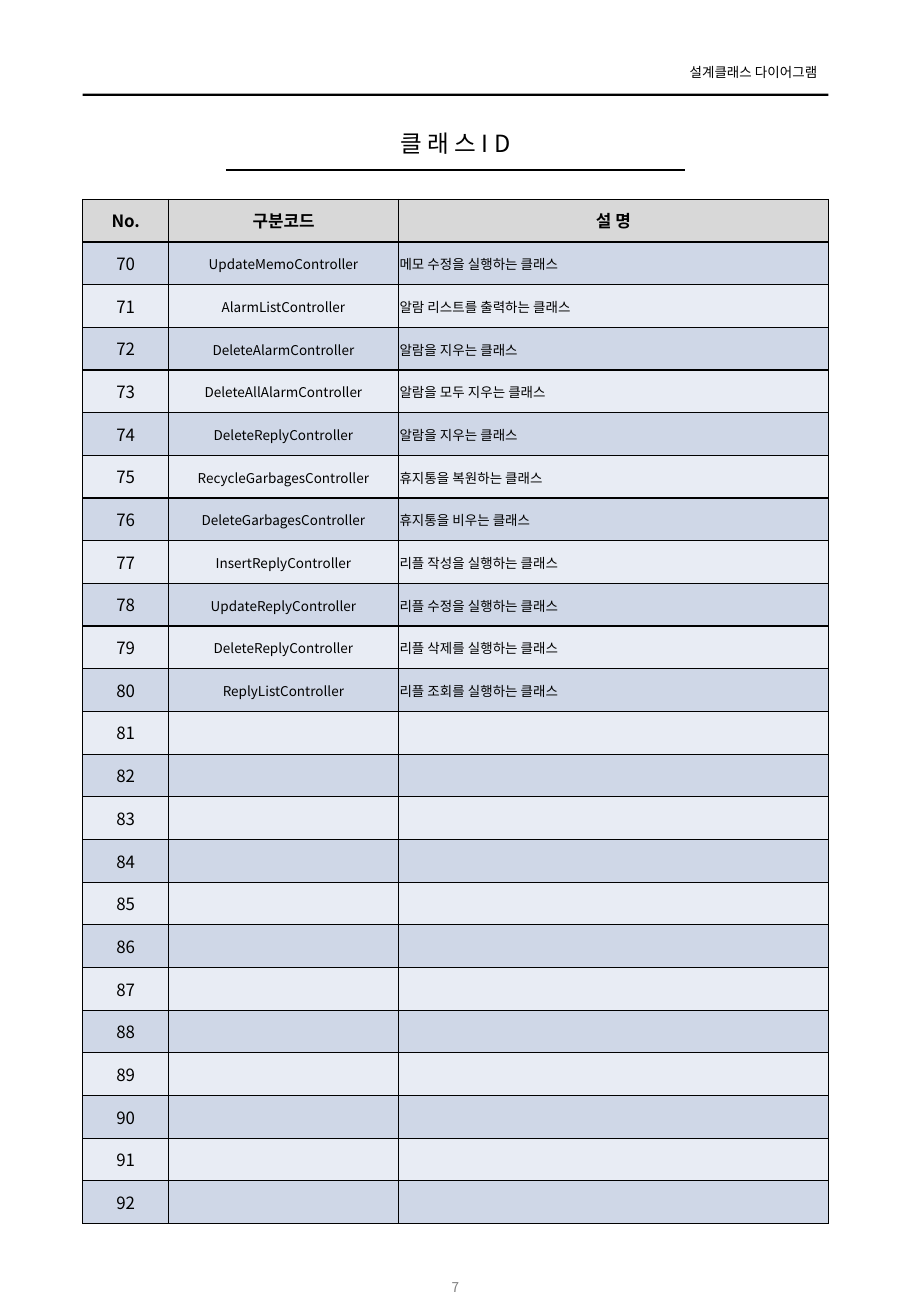
from lxml import etree
from pptx import Presentation
from pptx.dml.color import RGBColor
from pptx.enum.shapes import MSO_CONNECTOR, MSO_SHAPE
from pptx.enum.text import MSO_ANCHOR, MSO_AUTO_SIZE, PP_ALIGN
from pptx.oxml.ns import qn
from pptx.util import Pt

PX = 9144  # 100 px to the inch
FONT = "Noto Sans CJK KR"
COLORS = {"ink": "000000", "page": "7F7F7F", "head": "D8D8D8",
          "odd": "CFD7E7", "even": "E8ECF4"}
LEFT, CENTER, RIGHT = PP_ALIGN.LEFT, PP_ALIGN.CENTER, PP_ALIGN.RIGHT
TOP, MIDDLE = MSO_ANCHOR.TOP, MSO_ANCHOR.MIDDLE
NO_FIT = MSO_AUTO_SIZE.NONE
RECT, STRAIGHT = MSO_SHAPE.RECTANGLE, MSO_CONNECTOR.STRAIGHT

COLS = [71, 189, 354]
HEADS = ["No.", "구분코드", "설 명"]
FIRST, LAST = 70, 92
CLASSES = [
    ("UpdateMemoController", "메모 수정을 실행하는 클래스"),
    ("AlarmListController", "알람 리스트를 출력하는 클래스"),
    ("DeleteAlarmController", "알람을 지우는 클래스"),
    ("DeleteAllAlarmController", "알람을 모두 지우는 클래스"),
    ("DeleteReplyController", "알람을 지우는 클래스"),
    ("RecycleGarbagesController", "휴지통을 복원하는 클래스"),
    ("DeleteGarbagesController", "휴지통을 비우는 클래스"),
    ("InsertReplyController", "리플 작성을 실행하는 클래스"),
    ("UpdateReplyController", "리플 수정을 실행하는 클래스"),
    ("DeleteReplyController", "리플 삭제를 실행하는 클래스"),
    ("ReplyListController", "리플 조회를 실행하는 클래스"),
]


def px(*sizes):
    return [size * PX for size in sizes]


def rgb(name):
    return RGBColor.from_string(COLORS[name])


def write(frame, text, size, align, color="ink", bold=False):
    frame.text = text
    para = frame.paragraphs[0]
    para.alignment = align
    font = para.font
    font.size, font.bold, font.name = Pt(size), bold, FONT
    font.color.rgb = rgb(color)
    etree.SubElement(font._rPr, qn("a:ea"), typeface=FONT)
    if not text:
        para._p.get_or_add_endParaRPr().set("sz", str(size * 100))


def inset(item, left, top, right, bottom):
    (item.margin_left, item.margin_top,
     item.margin_right, item.margin_bottom) = px(left, top, right, bottom)


def label(shape, text, size, align, pads, anchor=TOP, color="ink"):
    frame = shape.text_frame
    write(frame, text, size, align, color)
    inset(frame, *pads)
    frame.word_wrap, frame.auto_size = True, NO_FIT
    frame.vertical_anchor = anchor


def add_bar(slide, box):
    bar = slide.shapes.add_shape(RECT, *px(*box))
    bar.shadow.inherit = False
    bar.fill.solid()
    bar.fill.fore_color.rgb = rgb("ink")
    bar.line.fill.background()


def add_rule(slide, ends):
    rule = slide.shapes.add_connector(STRAIGHT, *px(*ends))
    rule.line.color.rgb = rgb("ink")
    rule.line.width = Pt(1)
    etree.SubElement(rule._element.spPr, qn("a:effectLst"))


def add_title(slide, text, box):
    title = slide.shapes.title
    title.left, title.top, title.width, title.height = px(*box)
    label(title, text, 14, CENTER, (0, 5, 0, 5))


def border(cell):
    props = cell._tc.get_or_add_tcPr()
    for place, side in enumerate(("lnL", "lnR", "lnT", "lnB")):
        line = etree.Element(qn("a:" + side), w=str(Pt(0.75)))
        fill = etree.SubElement(line, qn("a:solidFill"))
        etree.SubElement(fill, qn("a:srgbClr"), val=COLORS["ink"])
        props.insert(place, line)


def fill_cell(cell, text, size, align, pads, fill, bold=False):
    write(cell.text_frame, text, size, align, bold=bold)
    inset(cell, *pads)
    cell.vertical_anchor = MIDDLE
    cell.fill.solid()
    cell.fill.fore_color.rgb = rgb(fill)
    border(cell)


def add_list(slide, box):
    count = LAST - FIRST + 2
    table = slide.shapes.add_table(count, len(COLS), *px(*box)).table
    table.first_row = table.horz_banding = False
    for col, width in zip(table.columns, COLS):
        col.width = width * PX
    for row in table.rows:
        row.height = box[3] * PX // count

    wide, slim = (10, 5, 10, 5), (1, 1, 1, 0)
    for col, head in enumerate(HEADS):
        fill_cell(table.cell(0, col), head, 10, CENTER, wide, "head", True)
    for row in range(1, count):
        name, note = CLASSES[row - 1] if row <= len(CLASSES) else ("", "")
        fill = "odd" if row % 2 else "even"
        number = str(FIRST + row - 1)
        fill_cell(table.cell(row, 0), number, 10, CENTER, wide, fill)
        fill_cell(table.cell(row, 1), name, 8, CENTER, slim, fill)
        fill_cell(table.cell(row, 2), note, 8, LEFT, slim, fill)


def main():
    deck = Presentation()
    deck.slide_width, deck.slide_height = px(750, 1083)
    slide = deck.slides.add_slide(deck.slide_layouts[5])
    shapes = slide.shapes

    add_bar(slide, (68, 77, 614, 2))
    label(shapes.add_textbox(*px(547, 48, 134, 24)),
          "설계클래스 다이어그램", 8, RIGHT, (10, 5, 8, 5))
    add_rule(slide, (186, 140, 564, 140))
    add_title(slide, "클 래 스 I D", (68, 101, 614, 34))
    label(shapes.add_textbox(*px(328, 1039, 94, 40)),
          "7", 8, CENTER, (10, 5, 10, 5), MIDDLE, "page")
    add_list(slide, (68, 164, sum(COLS), 843))
    deck.save("out.pptx")


if __name__ == "__main__":
    main()
